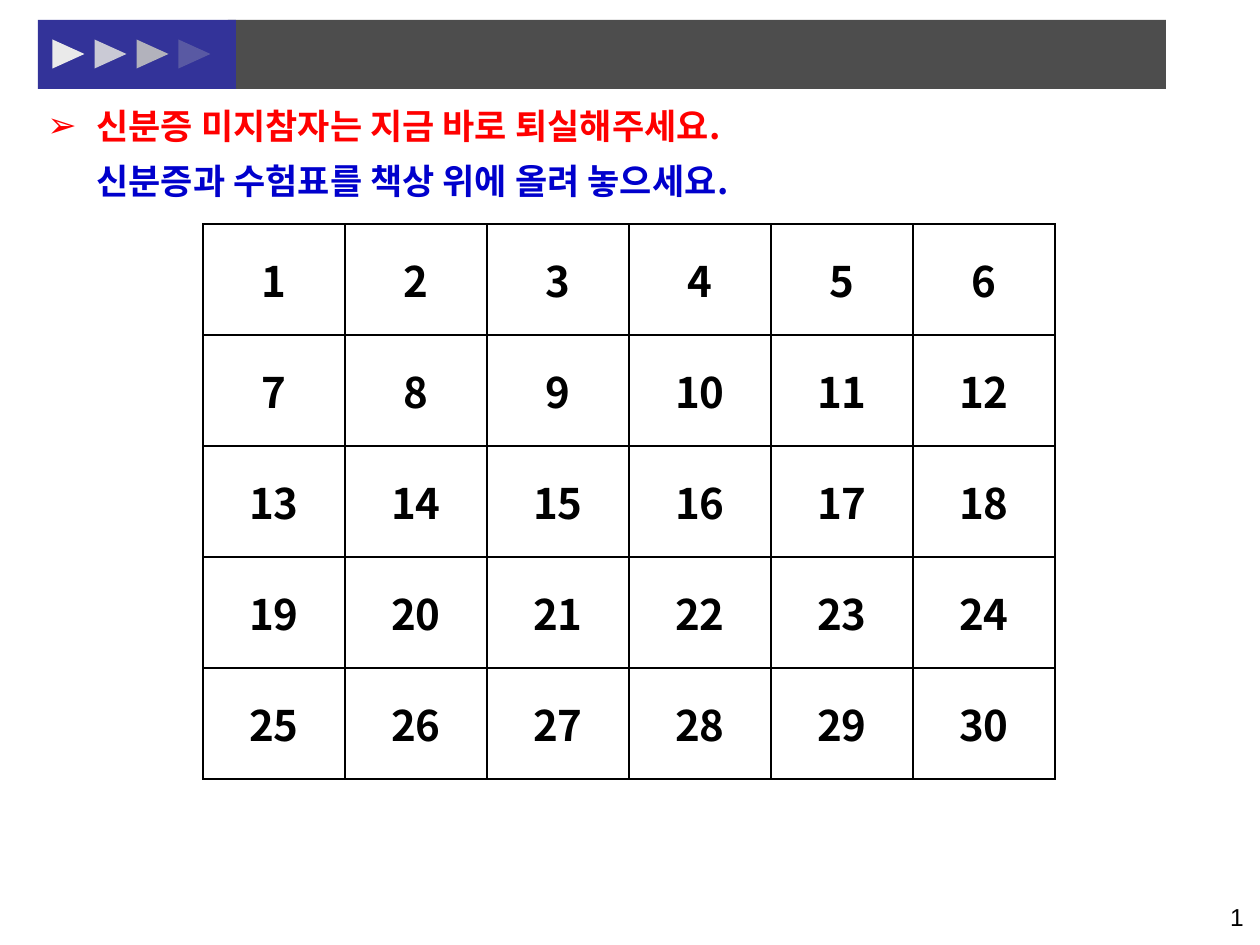
from lxml.etree import SubElement
from pptx import Presentation
from pptx.dml.color import RGBColor
from pptx.enum.shapes import MSO_SHAPE as Shape
from pptx.enum.text import MSO_ANCHOR as Anchor, PP_ALIGN as Align
from pptx.oxml.ns import qn
from pptx.util import Emu, Pt

BLACK = RGBColor(0x00, 0x00, 0x00)
GRAY = RGBColor(0x4D, 0x4D, 0x4D)
INDIGO = RGBColor(0x33, 0x33, 0x99)
RED = RGBColor(0xFF, 0x00, 0x00)
BLUE = RGBColor(0x00, 0x00, 0xCC)
PALE = RGBColor(0xEA, 0xEA, 0xEA)
LIGHT = RGBColor(0xDD, 0xDD, 0xDD)
SILVER = RGBColor(0xC0, 0xC0, 0xC0)

PX_PER_INCH = 126
KOREAN_FONT = "Noto Sans CJK KR"


def px(length):
    return Emu(round(length * 914400 / PX_PER_INCH))


class SlideBuilder:
    def __init__(self, slide, font=KOREAN_FONT):
        self.slide = slide
        self.font = font

    def shape(self, kind, box, color, opacity=100, rotation=0):
        shape = self.slide.shapes.add_shape(kind, *map(px, box))
        shape.shadow.inherit = False
        shape.rotation = rotation
        shape.fill.solid()
        shape.fill.fore_color.rgb = color
        shape.line.fill.background()
        if opacity < 100:
            color_node = shape.fill._xPr.find(".//" + qn("a:srgbClr"))
            SubElement(color_node, qn("a:alpha"), val=str(opacity * 1000))

    def run(self, paragraph, text, size, color, bold=True, font=None):
        run = paragraph.add_run()
        run.text = text
        run.font.size = Pt(size)
        run.font.bold = bold
        run.font.color.rgb = color
        run.font.name = font or self.font
        SubElement(run._r.get_or_add_rPr(), qn("a:ea"), typeface=font or self.font)

    def text_box(self, box):
        text_frame = self.slide.shapes.add_textbox(*map(px, box)).text_frame
        text_frame.word_wrap = True
        return text_frame.paragraphs[0]

    def bullet_lines(self, box, lines, size, bullet, indent):
        paragraph = self.text_box(box)
        paragraph.line_spacing = 1.3
        properties = paragraph._p.get_or_add_pPr()
        properties.set("marL", str(px(indent)))
        properties.set("indent", str(-px(indent)))
        SubElement(properties, qn("a:buFont"), typeface="Arial")
        SubElement(properties, qn("a:buChar"), char=bullet)
        for index, (text, color) in enumerate(lines):
            if index:
                paragraph.add_line_break()
            self.run(paragraph, text, size, color)

    def number_table(self, left, top, rows, columns, cell_width, cell_height, size):
        box = (left, top, columns * cell_width, rows * cell_height)
        table = self.slide.shapes.add_table(rows, columns, *map(px, box)).table
        table.first_row = table.horz_banding = False
        for number, cell in enumerate(table.iter_cells(), start=1):
            cell.vertical_anchor = Anchor.MIDDLE
            paragraph = cell.text_frame.paragraphs[0]
            paragraph.alignment = Align.CENTER
            self.run(paragraph, str(number), size, BLACK)
            self.cell_borders(cell)
            cell.fill.background()

    def cell_borders(self, cell):
        properties = cell._tc.get_or_add_tcPr()
        for side in ("a:lnL", "a:lnR", "a:lnT", "a:lnB"):
            line = SubElement(properties, qn(side), w=str(Pt(1)))
            fill = SubElement(line, qn("a:solidFill"))
            SubElement(fill, qn("a:srgbClr"), val=str(BLACK))


def main():
    presentation = Presentation()
    presentation.slide_width, presentation.slide_height = px(1260), px(945)
    slide = presentation.slides.add_slide(presentation.slide_layouts[6])
    builder = SlideBuilder(slide)

    # Header band with fading arrows
    builder.shape(Shape.RECTANGLE, (228, 20, 938, 69), GRAY)
    builder.shape(Shape.RECTANGLE, (38, 20, 198, 69), INDIGO)
    arrows = [(PALE, 100), (LIGHT, 89), (SILVER, 90), (SILVER, 27)]
    for index, (color, opacity) in enumerate(arrows):
        box = (54 + 42 * index, 38, 29, 32)
        builder.shape(Shape.ISOSCELES_TRIANGLE, box, color, opacity, rotation=90)

    # Page number
    page_number = builder.text_box((963, 896, 293, 44))
    page_number.alignment = Align.RIGHT
    builder.run(page_number, "1", 14, BLACK, bold=False, font="Arial")

    # Seat numbers
    builder.number_table(203, 224, rows=5, columns=6,
                         cell_width=142, cell_height=111, size=24)

    # Instructions
    lines = [("신분증 미지참자는 지금 바로 퇴실해주세요.", RED),
             ("신분증과 수험표를 책상 위에 올려 놓으세요.", BLUE)]
    builder.bullet_lines((35, 86, 1201, 117), lines, 20, "➢", indent=49)

    presentation.save("out.pptx")


if __name__ == "__main__":
    main()
